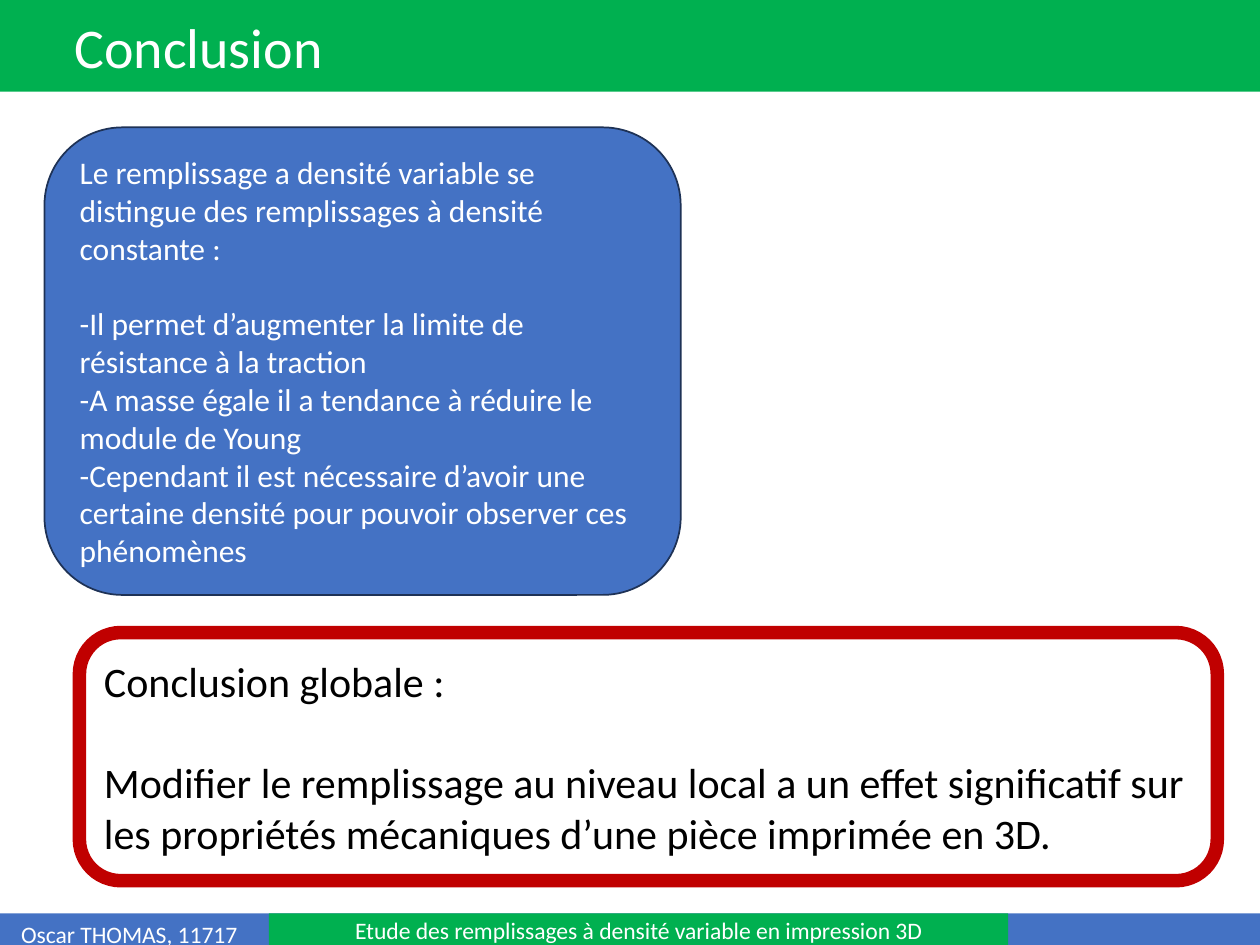
from pptx import Presentation
from pptx.dml.color import RGBColor
from pptx.enum.shapes import MSO_SHAPE
from pptx.enum.text import MSO_ANCHOR, MSO_AUTO_SIZE, PP_ALIGN
from pptx.util import Pt

RECTANGLE = MSO_SHAPE.RECTANGLE
ROUNDED = MSO_SHAPE.ROUNDED_RECTANGLE
TOP, MIDDLE = MSO_ANCHOR.TOP, MSO_ANCHOR.MIDDLE
LEFT, CENTER = PP_ALIGN.LEFT, PP_ALIGN.CENTER
NO_AUTOFIT = MSO_AUTO_SIZE.NONE

COLORS = {
    "blue": "4472C4",
    "green": "00B050",
    "navy": "1E3256",
    "red": "C00000",
    "white": "FFFFFF",
    "black": "000000",
}
FONT = "Calibri"
TITLE_ONLY = 5
WIDTH, HEIGHT = 720, 540
FOOTER_TOP, FOOTER_HEIGHT, FOOTER_SIZE = 522, 19.4, 13.5


class SlideBuilder:
    """Holds the style and the current slide; lengths are in points."""

    def __init__(self, deck):
        self.slide = deck.slides.add_slide(deck.slide_layouts[TITLE_ONLY])

    def color(self, name):
        return RGBColor.from_string(COLORS[name])

    def set_text(self, shape, lines, size, color="white", align=LEFT,
                 anchor=MIDDLE, gap=0):
        """Fill a shape with paragraphs; gap separates the first from the rest."""
        frame = shape.text_frame
        frame.word_wrap = True
        frame.auto_size = NO_AUTOFIT
        frame.vertical_anchor = anchor
        frame.text = "\n".join(lines)
        for index, para in enumerate(frame.paragraphs):
            para.alignment = align
            para.font.name = FONT
            para.font.size = Pt(size)
            para.font.color.rgb = self.color(color)
            if index == 1 and gap:
                para.space_before = Pt(gap)

    def title(self, text, height, indent, size):
        banner = self.slide.shapes.title
        banner.left, banner.top = Pt(0), Pt(0)
        banner.width, banner.height = Pt(WIDTH), Pt(height)
        banner.fill.solid()
        banner.fill.fore_color.rgb = self.color("green")
        self.set_text(banner, [text], size)
        banner.text_frame.margin_left = Pt(indent)

    def box(self, kind, left, top, width, height, fill=None, line=None,
            line_width=1):
        shape = self.slide.shapes.add_shape(
            kind, Pt(left), Pt(top), Pt(width), Pt(height))
        shape.shadow.inherit = False
        if fill:
            shape.fill.solid()
            shape.fill.fore_color.rgb = self.color(fill)
        else:
            shape.fill.background()
        if line:
            shape.line.color.rgb = self.color(line)
            shape.line.width = Pt(line_width)
        else:
            shape.line.fill.background()
        return shape

    def label(self, text, left, top, width, height, size):
        box = self.slide.shapes.add_textbox(
            Pt(left), Pt(top), Pt(width), Pt(height))
        self.set_text(box, [text], size, anchor=TOP)


def main():
    deck = Presentation()
    deck.slide_width, deck.slide_height = Pt(WIDTH), Pt(HEIGHT)
    page = SlideBuilder(deck)

    page.title("Conclusion", height=52.4, indent=42.5, size=32)

    page.box(RECTANGLE, 0, FOOTER_TOP, WIDTH, FOOTER_HEIGHT, fill="blue")
    page.label("Oscar THOMAS, 11717", 5, FOOTER_TOP, 188.6, 23.6, FOOTER_SIZE)
    topic = page.box(RECTANGLE, 153.6, FOOTER_TOP, 422.6, FOOTER_HEIGHT,
                     fill="green")
    page.set_text(
        topic, ["Etude des remplissages à densité variable en impression 3D"],
        FOOTER_SIZE, align=CENTER)

    findings = page.box(ROUNDED, 25.4, 72.8, 363.6, 267.2, fill="blue",
                        line="navy")
    page.set_text(findings, [
        "Le remplissage a densité variable se distingue des remplissages "
        "à densité constante :",
        "-Il permet d’augmenter la limite de résistance à la traction",
        "-A masse égale il a tendance à réduire le module de Young",
        "-Cependant il est nécessaire d’avoir une certaine densité pour "
        "pouvoir observer ces phénomènes",
    ], 18, gap=21.6)

    overall = page.box(ROUNDED, 45.4, 361.5, 650.2, 141.8, line="red",
                       line_width=7.75)
    page.set_text(overall, [
        "Conclusion globale :",
        "Modifier le remplissage au niveau local a un effet significatif sur "
        "les propriétés mécaniques d’une pièce imprimée en 3D.",
    ], 24, color="black", gap=28.8)

    deck.save("out.pptx")


if __name__ == "__main__":
    main()
